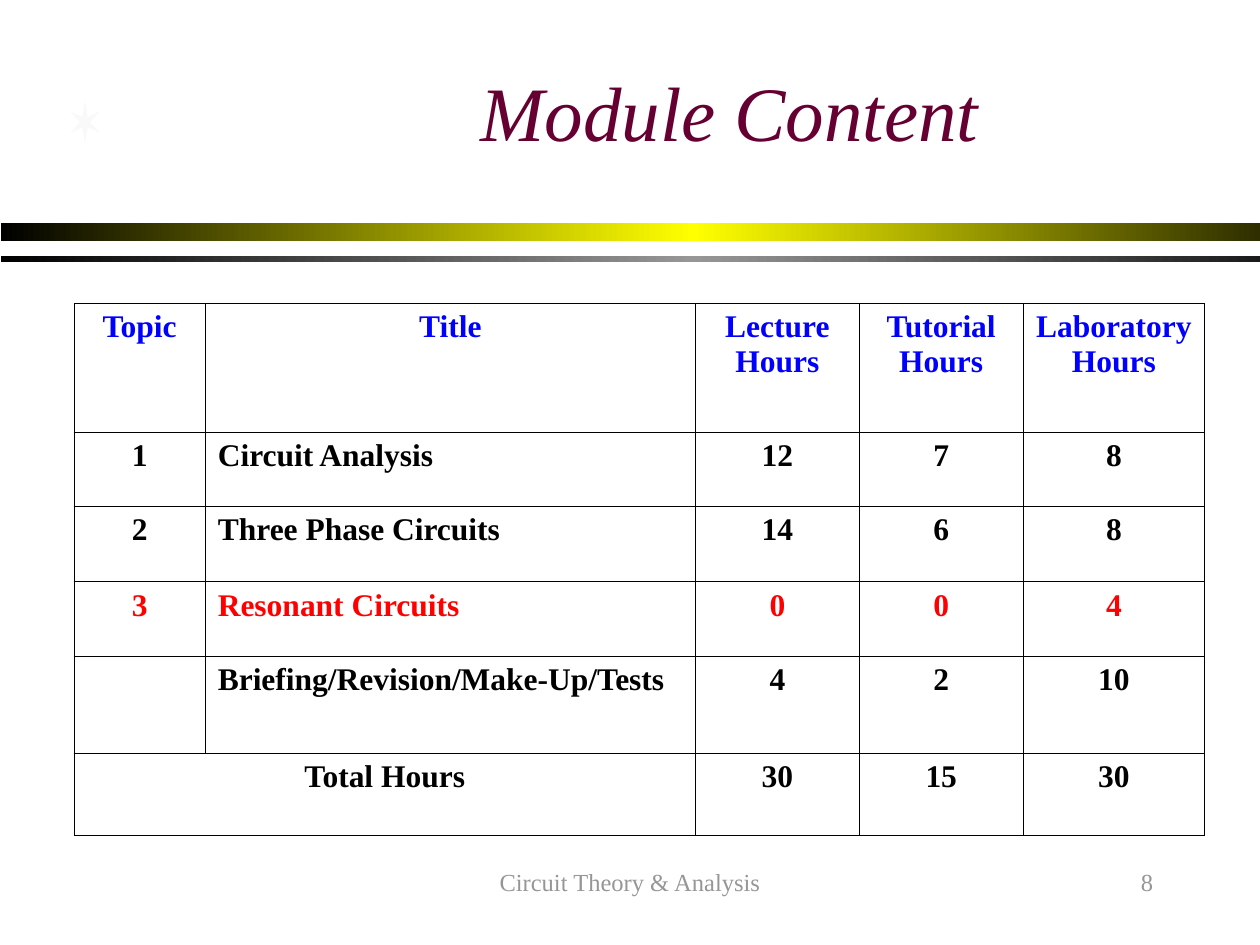
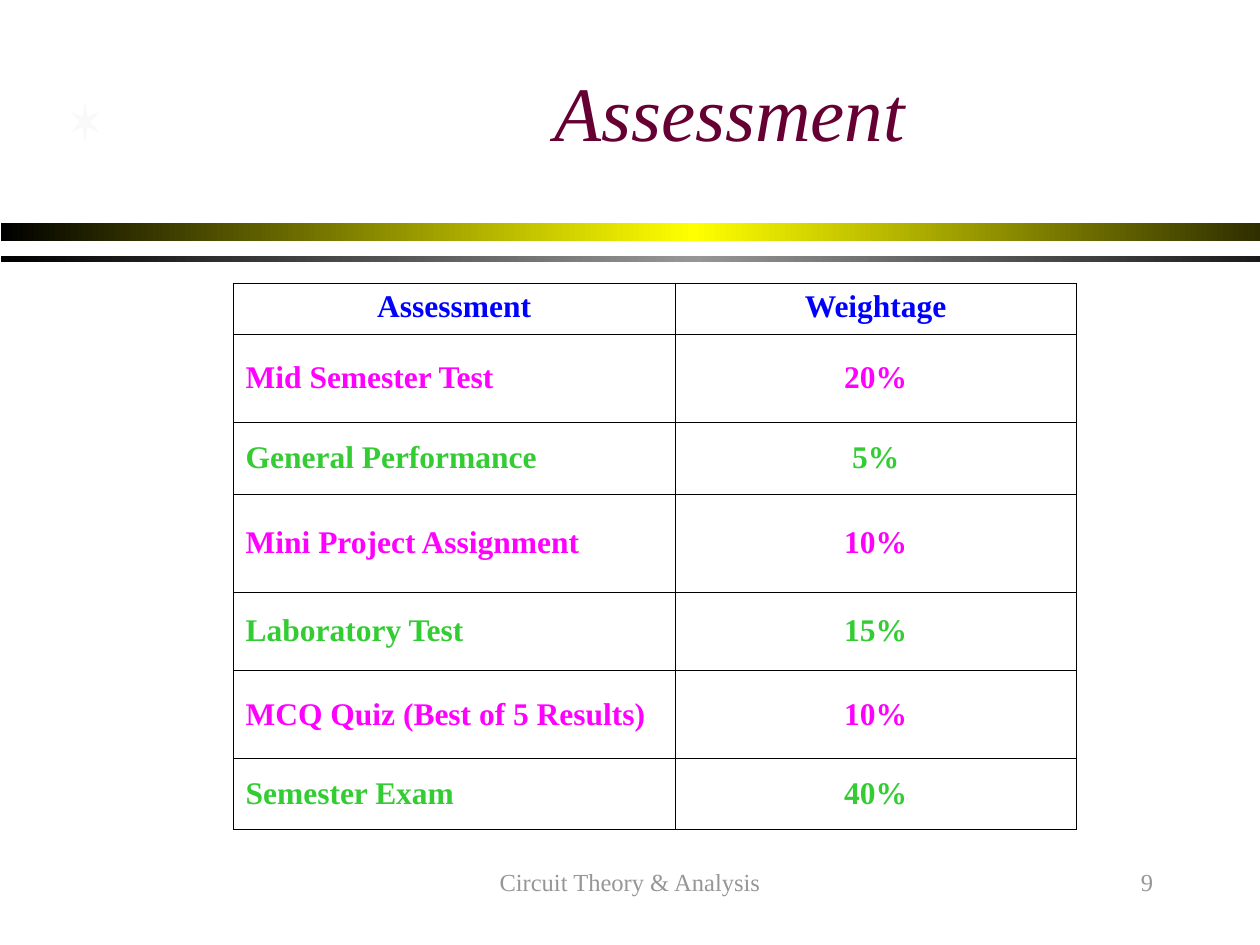
import copy
import math
import lxml.etree
import pptx
import pptx.dml.color
import pptx.enum.shapes
import pptx.enum.text
import pptx.oxml.ns
import pptx.util


class Theme:
    font = "Times New Roman"
    wine = "660033"
    grey = "969696"
    pale = "F9F9F9"
    black = "000000"
    white = "FFFFFF"
    gold = "FFFF00"
    blue = "0000FF"
    red = "FF0000"
    pink = "FF00FF"
    green = "33CC33"
    title = 44
    body = 18
    foot = 14
    rule = 0.45


rgb = pptx.dml.color.RGBColor.from_string
qn = pptx.oxml.ns.qn
align = pptx.enum.text.PP_ALIGN
anchor = pptx.enum.text.MSO_ANCHOR
rect = pptx.enum.shapes.MSO_SHAPE.RECTANGLE

deck = pptx.Presentation()
deck.slide_width = pptx.util.Inches(10)
deck.slide_height = pptx.util.Inches(7.5)
unit = deck.slide_width / 120


def grid(*cells):
    return [round(cell * unit) for cell in cells]


def write(frame, text, size, color, side, bold=False, slant=False):
    frame.text = text
    para = frame.paragraphs[0]
    para.alignment = side
    for run in para.runs:
        font = run.font
        font.name = Theme.font
        font.size = pptx.util.Pt(size)
        font.bold = bold
        font.italic = slant
        font.color.rgb = rgb(color)


bands = [(21.24, 1.68, Theme.gold), (24.36, 0.6, Theme.grey)]

pages = [
    {
        "title": "Module Content",
        "number": "8",
        "place": (7.05, 28.9),
        "cols": [12.5, 46.7, 15.6, 15.6, 17.3],
        "rows": [12.24, 7.08, 7.2, 7.08, 9.24, 7.8],
        "tints": [Theme.blue, Theme.black, Theme.black, Theme.red, Theme.black, Theme.black],
        "name": 1,
        "anchor": anchor.TOP,
        "total": True,
        "data": [
            ["Topic", "Title", "Lecture Hours", "Tutorial Hours", "Laboratory Hours"],
            ["1", "Circuit Analysis", "12", "7", "8"],
            ["2", "Three Phase Circuits", "14", "6", "8"],
            ["3", "Resonant Circuits", "0", "0", "4"],
            ["", "Briefing/Revision/Make-Up/Tests", "4", "2", "10"],
            ["Total Hours", "", "30", "15", "30"],
        ],
    },
    {
        "title": "Assessment",
        "number": "9",
        "place": (22.2, 27),
        "cols": [42.1, 38.2],
        "rows": [4.8, 8.4, 6.84, 9.36, 7.44, 8.4, 6.72],
        "tints": [Theme.blue] + [Theme.pink, Theme.green] * 3,
        "name": 0,
        "anchor": anchor.MIDDLE,
        "total": False,
        "data": [
            ["Assessment", "Weightage"],
            ["Mid Semester Test", "20%"],
            ["General Performance", "5%"],
            ["Mini Project Assignment", "10%"],
            ["Laboratory Test", "15%"],
            ["MCQ Quiz (Best of 5 Results)", "10%"],
            ["Semester Exam", "40%"],
        ],
    },
]

for page in pages:
    slide = deck.slides.add_slide(deck.slide_layouts[5])
    shapes = slide.shapes

    for top, height, glow in bands:
        band = shapes.add_shape(rect, *grid(0.12, top, 131.76, height))
        band.shadow.inherit = False
        band.line.fill.background()
        band.fill.gradient()
        band.fill.gradient_angle = 0
        for stop in band.fill.gradient_stops:
            stop.color.rgb = rgb(Theme.black)
        stops = band._element.spPr.find(".//" + qn("a:gsLst"))
        stops.insert(1, copy.deepcopy(stops[0]))
        middle = band.fill.gradient_stops[1]
        middle.position = 0.5
        middle.color.rgb = rgb(glow)

    points = []
    for step in range(12):
        wide, tall = (0.48, 0.54) if step % 2 else (1.6, 2.04)
        angle = math.radians(30 * step - 90)
        points.append(grid(8.1 + wide * math.cos(angle), 11.64 + tall * math.sin(angle)))
    pen = shapes.build_freeform(*points[0])
    pen.add_line_segments(points[1:], close=True)
    star = pen.convert_to_shape()
    star.shadow.inherit = False
    star.fill.solid()
    star.fill.fore_color.rgb = rgb(Theme.pale)
    star.line.fill.background()

    feet = [
        ("Circuit Theory & Analysis", 41, 38, align.CENTER),
        (page["number"], 86, 25, align.RIGHT),
    ]
    for text, left, width, side in feet:
        foot = shapes.add_textbox(*grid(left, 82, width, 6)).text_frame
        foot.word_wrap = True
        write(foot, text, Theme.foot, Theme.grey, side)

    title = shapes.title
    title.left, title.top, title.width, title.height = grid(19, 4, 101, 13)
    title.text_frame.vertical_anchor = anchor.MIDDLE
    write(title.text_frame, page["title"], Theme.title, Theme.wine, align.CENTER, slant=True)

    cols, rows = page["cols"], page["rows"]
    area = grid(*page["place"], sum(cols), sum(rows))
    table = shapes.add_table(len(rows), len(cols), *area).table
    table.first_row = False
    table.horz_banding = False
    for column, width in zip(table.columns, grid(*cols)):
        column.width = width
    for row, height in zip(table.rows, grid(*rows)):
        row.height = height
    if page["total"]:
        table.cell(len(rows) - 1, 0).merge(table.cell(len(rows) - 1, 1))

    for r, line in enumerate(page["data"]):
        for c, text in enumerate(line):
            cell = table.cell(r, c)
            props = cell._tc.get_or_add_tcPr()
            for edge in ("a:lnL", "a:lnR", "a:lnT", "a:lnB"):
                border = lxml.etree.SubElement(props, qn(edge), w=str(pptx.util.Pt(Theme.rule)))
                solid = lxml.etree.SubElement(border, qn("a:solidFill"))
                lxml.etree.SubElement(solid, qn("a:srgbClr"), val=Theme.black)
            cell.fill.solid()
            cell.fill.fore_color.rgb = rgb(Theme.white)
            cell.vertical_anchor = page["anchor"] if r else anchor.TOP
            if text:
                side = align.LEFT if r and c == page["name"] else align.CENTER
                write(cell.text_frame, text, Theme.body, page["tints"][r], side, bold=True)

deck.save("out.pptx")
